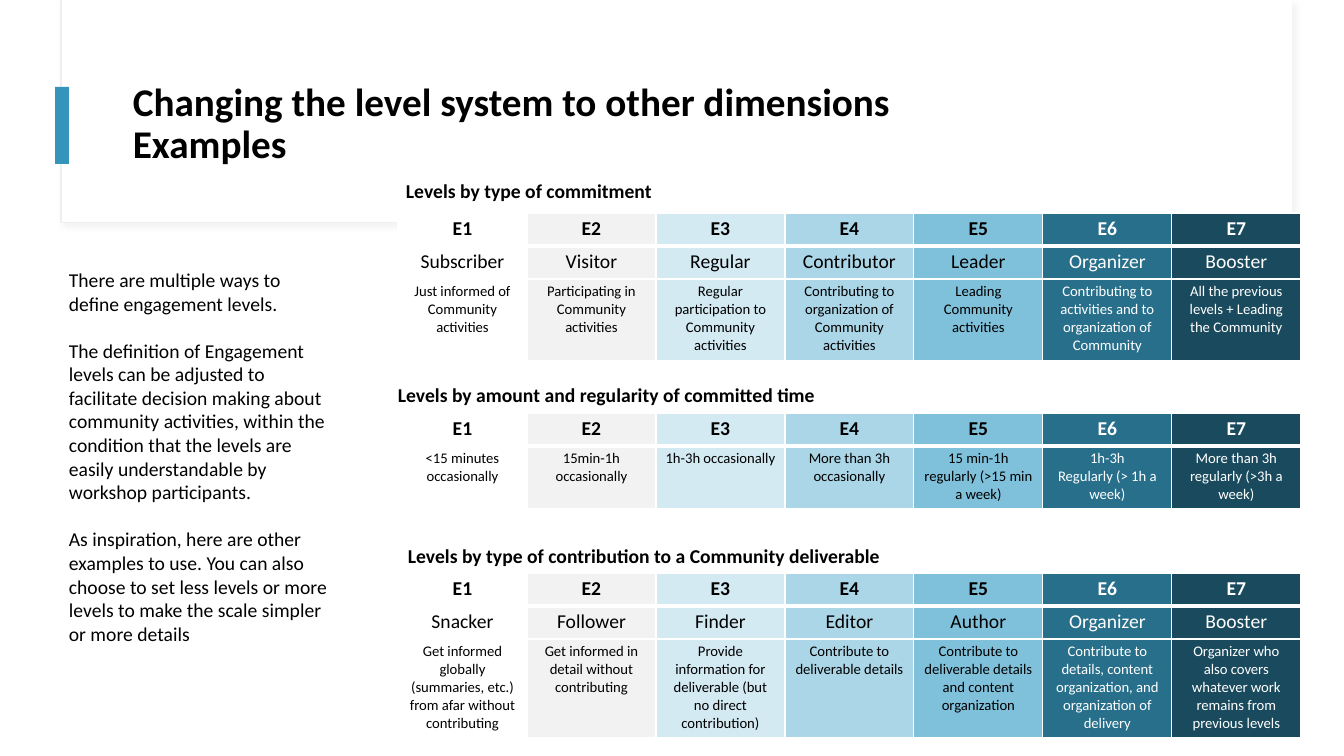
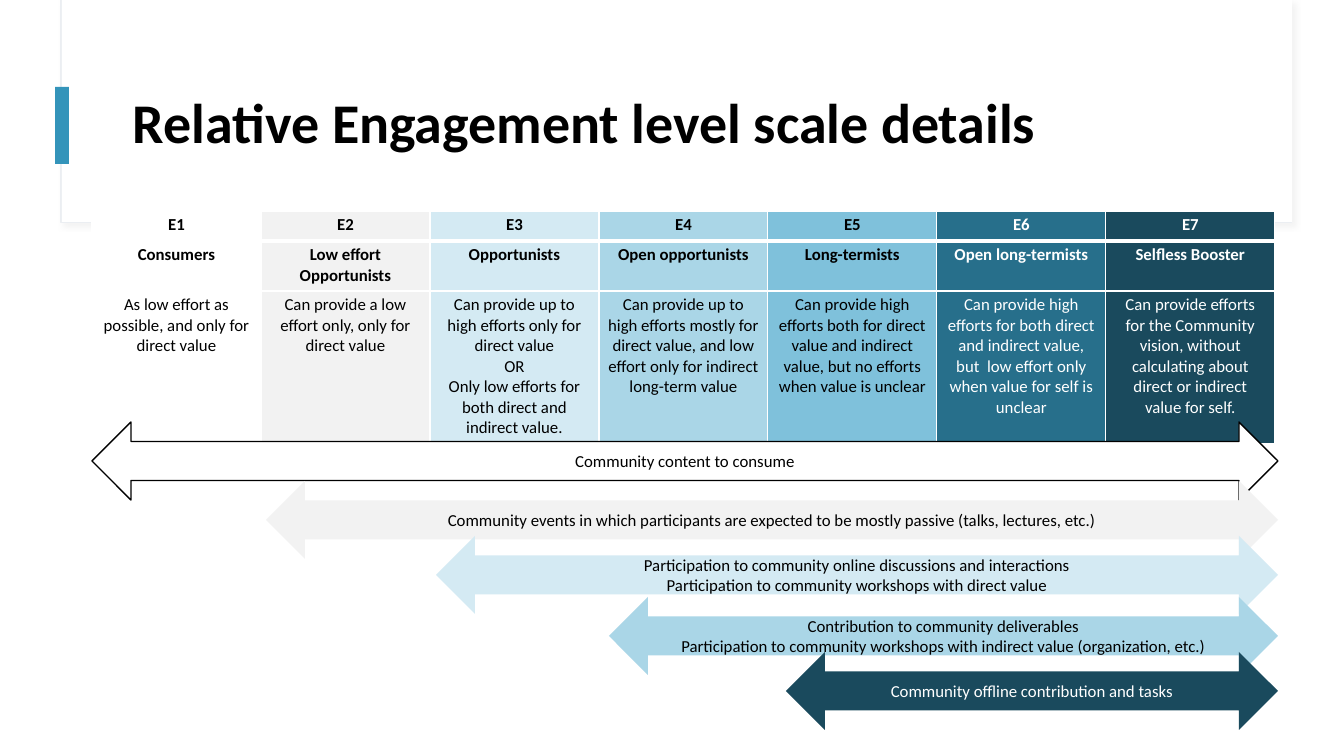
from lxml import etree
from pptx import Presentation
from pptx.dml.color import RGBColor
from pptx.enum import shapes, text
from pptx.oxml import parse_xml
from pptx.oxml.ns import nsdecls, qn
from pptx.util import Emu, Inches, Pt

EMU_PER_PX = Inches(1) / 100.8
FONT = "Calibri"
COLORS = {
    "white": "FFFFFF", "black": "000000", "accent": "3494BA",
    "frame": "EBEEF2", "shadow": "D9D9D9", "grey": "F2F2F2",
    "ice": "D4EAF3", "sky": "AAD6E7", "blue": "7FC1DB",
    "teal": "276F8B", "navy": "1A4A5D",
}
LEVEL_FILLS = ["white", "grey", "ice", "sky", "blue", "teal", "navy"]
LEVEL_NAMES = [f"E{number}" for number in range(1, len(LEVEL_FILLS) + 1)]
DARK_FILLS = {"teal", "navy"}

EXAMPLES_TITLE = "Changing the level system to other dimensions\vExamples"
INTRODUCTION = "\n".join([
    "There are multiple ways to define engagement levels.",
    "The definition of Engagement levels can be adjusted to facilitate decision making about "
    "community activities, within the condition that the levels are easily understandable by "
    "workshop participants.",
    "As inspiration, here are other examples to use. You can also choose to set less levels or "
    "more levels to make the scale simpler or more details",
])
HEADER_STYLE = (33, 14, True)
NAME_STYLE = (33, 14, False)
EXAMPLES = [
    {
        "heading": "Levels by type of commitment", "heading_box": (396, 174, 345, 34), "top": 213,
        "rows": [
            (HEADER_STYLE, LEVEL_NAMES),
            (NAME_STYLE, ["Subscriber", "Visitor", "Regular", "Contributor", "Leader",
                          "Organizer", "Booster"]),
            ((82, 10.5, False), [
                "Just informed of Community activities",
                "Participating in Community activities",
                "Regular participation to Community activities",
                "Contributing to organization of Community activities",
                "Leading Community activities",
                "Contributing to activities and to organization of Community",
                "All the previous levels + Leading the Community",
            ]),
        ],
    },
    {
        "heading": "Levels by amount and regularity of committed time",
        "heading_box": (388, 378, 588, 34), "top": 413,
        "rows": [
            (HEADER_STYLE, LEVEL_NAMES),
            ((63, 10.5, False), [
                "<15 minutes occasionally",
                "15min-1h occasionally",
                "1h-3h occasionally",
                "More than 3h occasionally",
                "15 min-1h regularly (>15 min a week)",
                "1h-3h\nRegularly (> 1h a week)",
                "More than 3h regularly (>3h a week)",
            ]),
        ],
    },
    {
        "heading": "Levels by type of contribution to a Community deliverable",
        "heading_box": (398, 539, 639, 34), "top": 573,
        "rows": [
            (HEADER_STYLE, LEVEL_NAMES),
            (NAME_STYLE, ["Snacker", "Follower", "Finder", "Editor", "Author",
                          "Organizer", "Booster"]),
            ((99, 10.5, False), [
                "Get informed globally (summaries, etc.) from afar without contributing",
                "Get informed in detail without contributing",
                "Provide information for deliverable (but no direct contribution)",
                "Contribute to deliverable details",
                "Contribute to deliverable details and content organization",
                "Contribute to details, content organization, and organization of delivery",
                "Organizer who also covers whatever work remains from previous levels",
            ]),
        ],
    },
]

SCALE_TITLE = "Relative Engagement level scale details"
SCALE_ROWS = [
    ((30, 12, True), LEVEL_NAMES),
    ((50, 12, True), ["Consumers", "Low effort Opportunists", "Opportunists",
                      "Open opportunists", "Long-termists", "Open long-termists",
                      "Selfless Booster"]),
    ((153, 12, False), [
        "As low effort as possible, and only for direct value",
        "Can provide a low effort only, only for direct value",
        "Can provide up to high efforts only for direct value\nOR\n"
        "Only low efforts for both direct and indirect value.",
        "Can provide up to high efforts mostly for direct value, and low effort only for "
        "indirect long-term value",
        "Can provide high efforts both for direct value and indirect value, but no efforts "
        "when value is unclear",
        "Can provide high efforts for both direct and indirect value,\n"
        "but  low effort only when value for self is unclear",
        "Can provide efforts for the Community vision, without calculating about direct or "
        "indirect value for self.",
    ]),
]
ARROW_RIGHT, ARROW_HEIGHT = 1278, 78
ARROWS = [
    (92, 422, "white", "Community content to consume"),
    (266, 481, "grey", "Community events in which participants are expected to be mostly passive "
                       "(talks, lectures, etc.)"),
    (436, 536, "ice", "Participation to community online discussions and interactions\n"
                      "Participation to community workshops with direct value"),
    (609, 597, "sky", "Contribution to community deliverables\n"
                      "Participation to community workshops with indirect value "
                      "(organization, etc.)"),
    (786, 652, "navy", "Community offline contribution and tasks"),
]


def px(length):
    return Emu(round(length * EMU_PER_PX))


def rgb(name):
    return RGBColor.from_string(COLORS[name])


def text_color(fill):
    return "white" if fill in DARK_FILLS else "black"


def write(frame, content, size, color="black", bold=False, align=text.PP_ALIGN.LEFT):
    frame.text = content
    for paragraph in frame.paragraphs:
        paragraph.alignment = align
        for run in paragraph.runs:
            run.font.name = FONT
            run.font.size = Pt(size)
            run.font.bold = bold
            run.font.color.rgb = rgb(color)


def add_text(slide, box, content, size, bold=False):
    frame = slide.shapes.add_textbox(*map(px, box)).text_frame
    frame.word_wrap = True
    write(frame, content, size, bold=bold)
    return frame


def add_shape(slide, kind, box, fill, line=None, line_width=1):
    shape = slide.shapes.add_shape(kind, *map(px, box))
    shape.shadow.inherit = False
    shape.fill.solid()
    shape.fill.fore_color.rgb = rgb(fill)
    if line:
        shape.line.color.rgb = rgb(line)
        shape.line.width = Pt(line_width)
    else:
        shape.line.fill.background()
    return shape


def add_soft_shadow(shape):
    effects = shape._element.spPr.find(qn("a:effectLst"))
    effects.append(parse_xml(
        f'<a:outerShdw {nsdecls("a")} blurRad="{Pt(4)}" dist="{Pt(3)}" dir="2700000" '
        f'algn="tl" rotWithShape="0"><a:srgbClr val="{COLORS["shadow"]}">'
        '<a:alpha val="30000"/></a:srgbClr></a:outerShdw>'))


def add_titled_slide(presentation, title, size):
    slide = presentation.slides.add_slide(presentation.slide_layouts[6])
    rectangle = shapes.MSO_SHAPE.RECTANGLE
    add_soft_shadow(add_shape(slide, rectangle, (61, 0, 1231, 223), "white", "frame", 0.75))
    add_shape(slide, rectangle, (62, 0, 1230, 222), "white")
    add_shape(slide, rectangle, (55, 87, 14, 77), "accent")
    frame = add_text(slide, (123, 60, 1121, 130), title, size, True)
    frame.vertical_anchor = text.MSO_ANCHOR.MIDDLE
    frame.paragraphs[0].line_spacing = 0.9
    return slide


def set_borders(cell, bottom_width):
    properties = cell._tc.get_or_add_tcPr()
    for side, width in (("L", 1), ("R", 1), ("T", 1), ("B", bottom_width)):
        border = etree.SubElement(properties, qn(f"a:ln{side}"), w=str(Pt(width)))
        fill = etree.SubElement(border, qn("a:solidFill"))
        etree.SubElement(fill, qn("a:srgbClr"), val=COLORS["white"])


def add_level_table(slide, left, top, column_width, rows):
    height = sum(style[0] for style, _ in rows)
    box = (left, top, column_width * len(LEVEL_FILLS), height)
    table = slide.shapes.add_table(len(rows), len(LEVEL_FILLS), *map(px, box)).table
    table.horz_banding = False
    for column in table.columns:
        column.width = px(column_width)
    for row_index, ((row_height, size, bold), contents) in enumerate(rows):
        table.rows[row_index].height = px(row_height)
        for column_index, (content, fill) in enumerate(zip(contents, LEVEL_FILLS)):
            cell = table.cell(row_index, column_index)
            cell.margin_left = cell.margin_right = px(9)
            cell.margin_top = cell.margin_bottom = px(4)
            set_borders(cell, 3 if row_index == 0 else 1)
            cell.fill.solid()
            cell.fill.fore_color.rgb = rgb(fill)
            write(cell.text_frame, content, size, text_color(fill), bold, text.PP_ALIGN.CENTER)


def build_examples(presentation):
    slide = add_titled_slide(presentation, EXAMPLES_TITLE, 28)
    introduction = add_text(slide, (59, 263, 282, 414), INTRODUCTION, 14)
    for paragraph in introduction.paragraphs[:-1]:
        paragraph.space_after = Pt(17)
    for example in EXAMPLES:
        add_level_table(slide, 398, example["top"], 129, example["rows"])
        add_text(slide, example["heading_box"], example["heading"], 14, True)


def build_scale(presentation):
    slide = add_titled_slide(presentation, SCALE_TITLE, 40)
    add_level_table(slide, 92, 211, 169, SCALE_ROWS)
    for left, top, fill, content in ARROWS:
        box = (left, top, ARROW_RIGHT - left, ARROW_HEIGHT)
        line = "black" if fill == "white" else None
        arrow = add_shape(slide, shapes.MSO_SHAPE.LEFT_RIGHT_ARROW, box, fill, line)
        arrow.text_frame.word_wrap = True
        arrow.text_frame.vertical_anchor = text.MSO_ANCHOR.MIDDLE
        write(arrow.text_frame, content, 12, text_color(fill), align=text.PP_ALIGN.CENTER)


def main():
    presentation = Presentation()
    presentation.slide_width = px(1344)
    presentation.slide_height = px(756)
    build_examples(presentation)
    build_scale(presentation)
    presentation.save("out.pptx")


if __name__ == "__main__":
    main()
